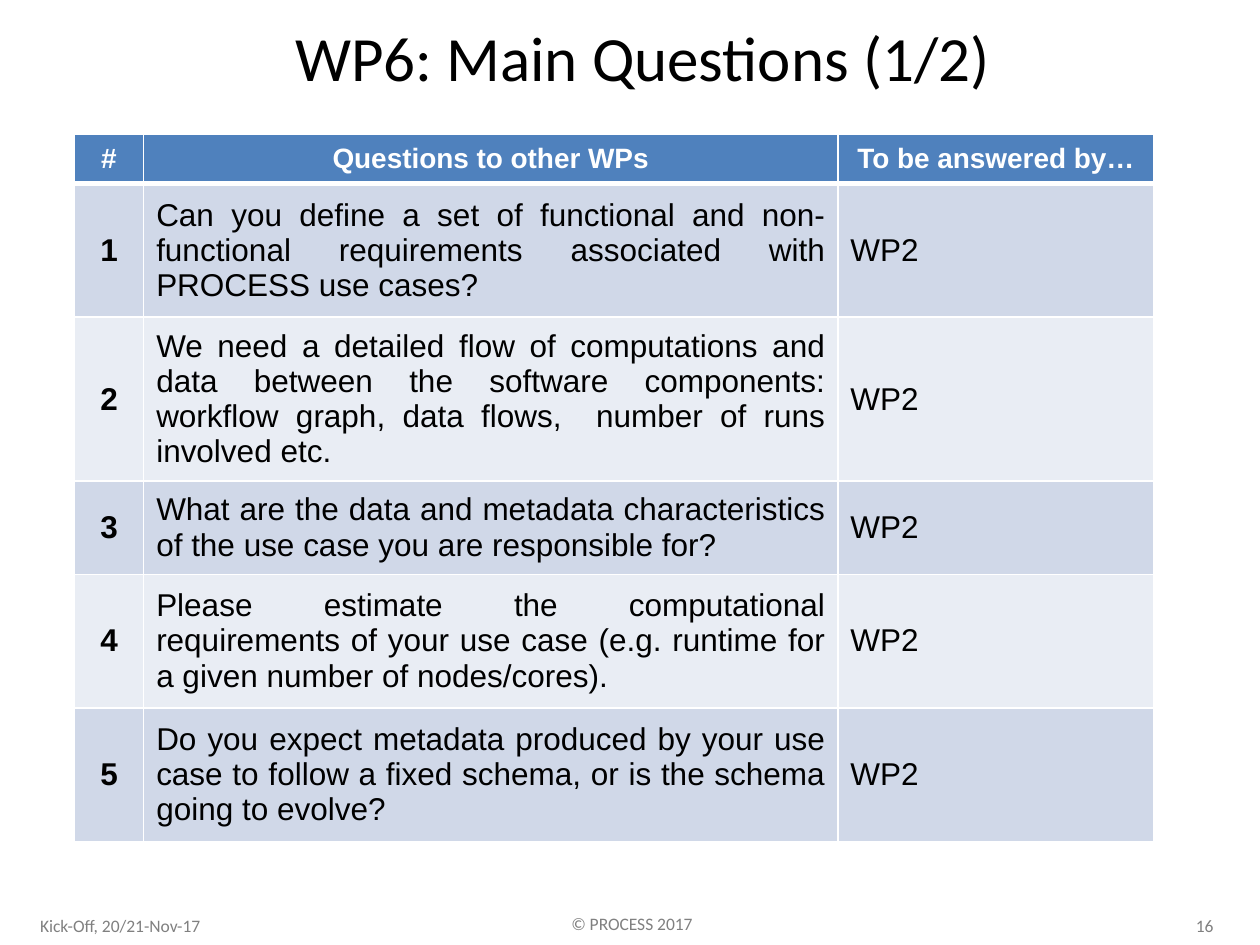
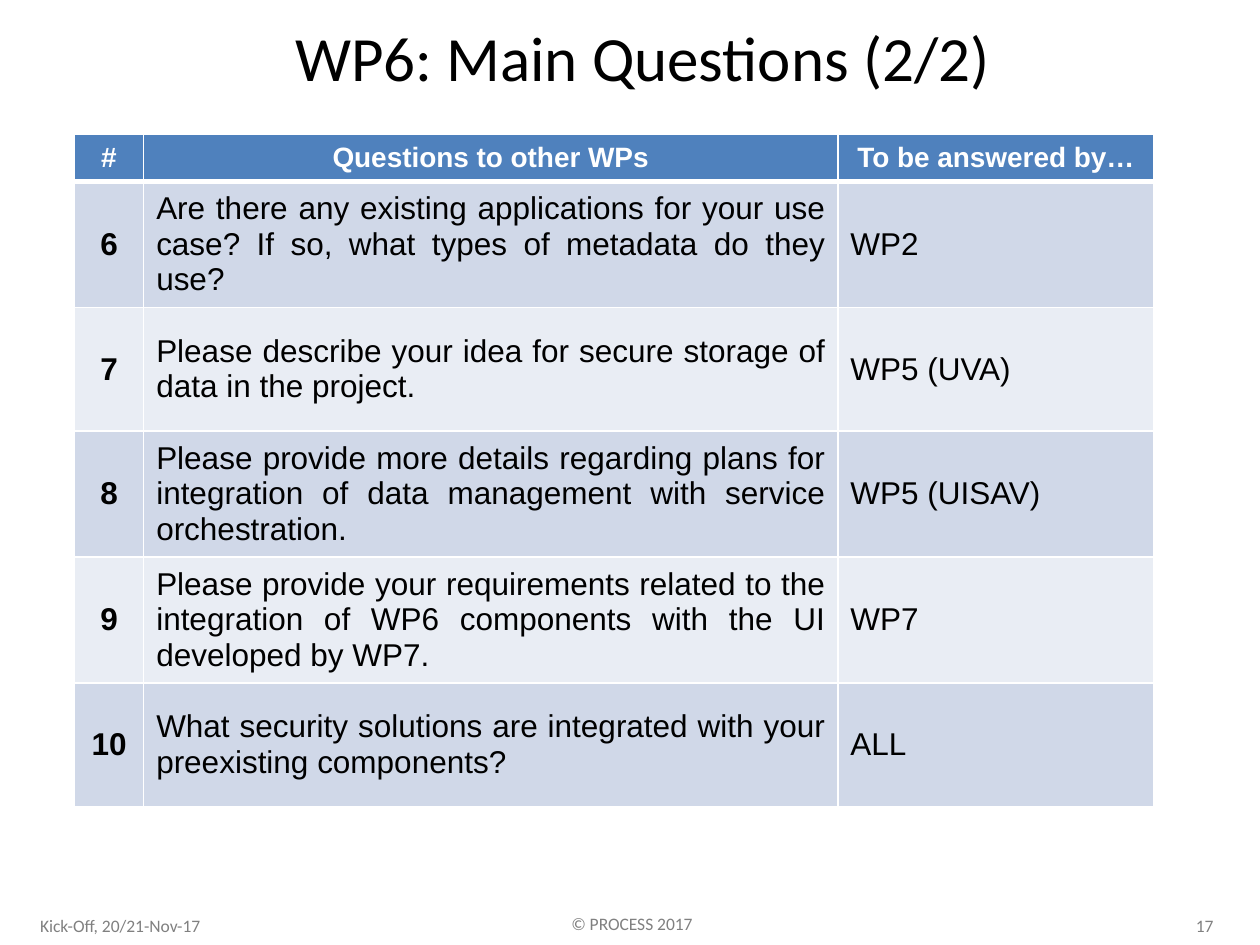
from lxml import etree
from pptx import Presentation
from pptx.dml.color import RGBColor
from pptx.enum import text
from pptx.oxml import ns
from pptx.util import Pt

BLACK = RGBColor(0x00, 0x00, 0x00)
WHITE = RGBColor(0xFF, 0xFF, 0xFF)
GREY = RGBColor(0x80, 0x80, 0x80)
HEADER_BLUE = RGBColor(0x4F, 0x81, 0xBD)
BANDS = (RGBColor(0xD0, 0xD8, 0xE8), RGBColor(0xE9, 0xED, 0xF4))

LEFT, CENTER, JUSTIFY, RIGHT = (
    text.PP_ALIGN.LEFT, text.PP_ALIGN.CENTER, text.PP_ALIGN.JUSTIFY, text.PP_ALIGN.RIGHT)
TOP, MIDDLE = text.MSO_ANCHOR.TOP, text.MSO_ANCHOR.MIDDLE

TITLE = {"name": "Calibri", "size": Pt(36)}
FOOTER = {"name": "Calibri", "size": Pt(10)}
HEADING = {"name": "Arial", "size": Pt(16), "bold": True}
NUMBER = {"name": "Arial", "size": Pt(18), "bold": True}
BODY = {"name": "Arial", "size": Pt(18), "bold": False}

HEADINGS = ("#", "Questions to other WPs", "To be answered by…")
COLUMN_WIDTHS = (39.6, 396.7, 180.7)
COLUMN_STYLES = ((NUMBER, CENTER), (BODY, JUSTIFY), (BODY, LEFT))

FIRST_PAGE = 16
PAGES = (
    (28, (76.3, 76.3, 53.3, 76.3, 76.3), (
        ("Can you define a set of functional and non-functional requirements "
         "associated with PROCESS use cases?", "WP2"),
        ("We need a detailed flow of computations and data between the software components: "
         "workflow graph, data flows,  number of runs involved etc.", "WP2"),
        ("What are the data and metadata characteristics of the use case "
         "you are responsible for?", "WP2"),
        ("Please estimate the computational requirements of your use case "
         "(e.g. runtime for a given number of nodes/cores).", "WP2"),
        ("Do you expect metadata produced by your use case to follow a fixed schema, "
         "or is the schema going to evolve?", "WP2"),
    )),
    (26.6, (70.6,) * 5, (
        ("Are there any existing applications for your use case? "
         "If so, what types of metadata do they use?", "WP2"),
        ("Please describe your idea for secure storage of data in the project.", "WP5 (UVA)"),
        ("Please provide more details regarding plans for integration of data management "
         "with service orchestration.", "WP5 (UISAV)"),
        ("Please provide your requirements related to the integration of WP6 components "
         "with the UI developed by WP7.", "WP7"),
        ("What security solutions are integrated with your preexisting components?", "ALL"),
    )),
)


class QuestionDeck:
    """Builds question slides that share a title, a table and a footer style."""

    def __init__(self):
        self.deck = Presentation()
        self.deck.slide_width, self.deck.slide_height = Pt(720), Pt(540)
        self.page = None

    def add_page(self):
        self.page = self.deck.slides.add_slide(self.deck.slide_layouts[6])

    def set_words(self, frame, words, style, color, align):
        paragraph = frame.paragraphs[0]
        paragraph.alignment = align
        span = paragraph.add_run()
        span.text = words
        for name, value in style.items():
            setattr(span.font, name, value)
        span.font.color.rgb = color

    def add_text(self, words, place, style, color, align, anchor=MIDDLE):
        box = self.page.shapes.add_textbox(*map(Pt, place))
        frame = box.text_frame
        frame.word_wrap = True
        frame.vertical_anchor = anchor
        self.set_words(frame, words, style, color, align)

    def add_title(self, words):
        self.add_text(words, (87.8, 5, 558.7, 54.7), TITLE, BLACK, CENTER)

    def add_footer(self, number):
        self.add_text(str(number), (604, 520.6, 96.5, 16.6), FOOTER, GREY, RIGHT)
        self.add_text("Kick-Off, 20/21-Nov-17", (15.8, 520.6, 128.2, 16.6), FOOTER, GREY, LEFT)
        self.add_text("© PROCESS 2017", (284.4, 518.4, 153.4, 19.4), FOOTER, GREY, CENTER, TOP)

    def add_borders(self, cell, bottom_width):
        properties = cell._tc.get_or_add_tcPr()
        for side, width in (("L", 1), ("R", 1), ("T", 1), ("B", bottom_width)):
            line = etree.SubElement(properties, ns.qn(f"a:ln{side}"), w=str(Pt(width)))
            fill = etree.SubElement(line, ns.qn("a:solidFill"))
            etree.SubElement(fill, ns.qn("a:srgbClr"), val=str(WHITE))

    def fill_cell(self, cell, words, fill, style, color, align, bottom_width=1):
        self.add_borders(cell, bottom_width)
        cell.fill.solid()
        cell.fill.fore_color.rgb = fill
        cell.vertical_anchor = MIDDLE
        self.set_words(cell.text_frame, words, style, color, align)

    def add_questions(self, first, header_height, row_heights, questions):
        heights = (header_height, *row_heights)
        table = self.page.shapes.add_table(
            len(heights), len(COLUMN_WIDTHS), Pt(42.5), Pt(77),
            Pt(sum(COLUMN_WIDTHS)), Pt(sum(heights))).table
        for column, width in zip(table.columns, COLUMN_WIDTHS):
            column.width = Pt(width)
        for row, height in zip(table.rows, heights):
            row.height = Pt(height)
        for column, heading in enumerate(HEADINGS):
            self.fill_cell(table.cell(0, column), heading, HEADER_BLUE, HEADING, WHITE, CENTER, 3)
        for index, question in enumerate(questions):
            values = (str(first + index), *question)
            for column, (words, (style, align)) in enumerate(zip(values, COLUMN_STYLES)):
                self.fill_cell(table.cell(index + 1, column), words, BANDS[index % 2],
                               style, BLACK, align)


def main():
    builder = QuestionDeck()
    first = 1
    for index, (header_height, row_heights, questions) in enumerate(PAGES):
        builder.add_page()
        builder.add_footer(FIRST_PAGE + index)
        builder.add_questions(first, header_height, row_heights, questions)
        builder.add_title(f"WP6: Main Questions ({index + 1}/{len(PAGES)})")
        first += len(questions)
    builder.deck.save("out.pptx")


if __name__ == "__main__":
    main()
